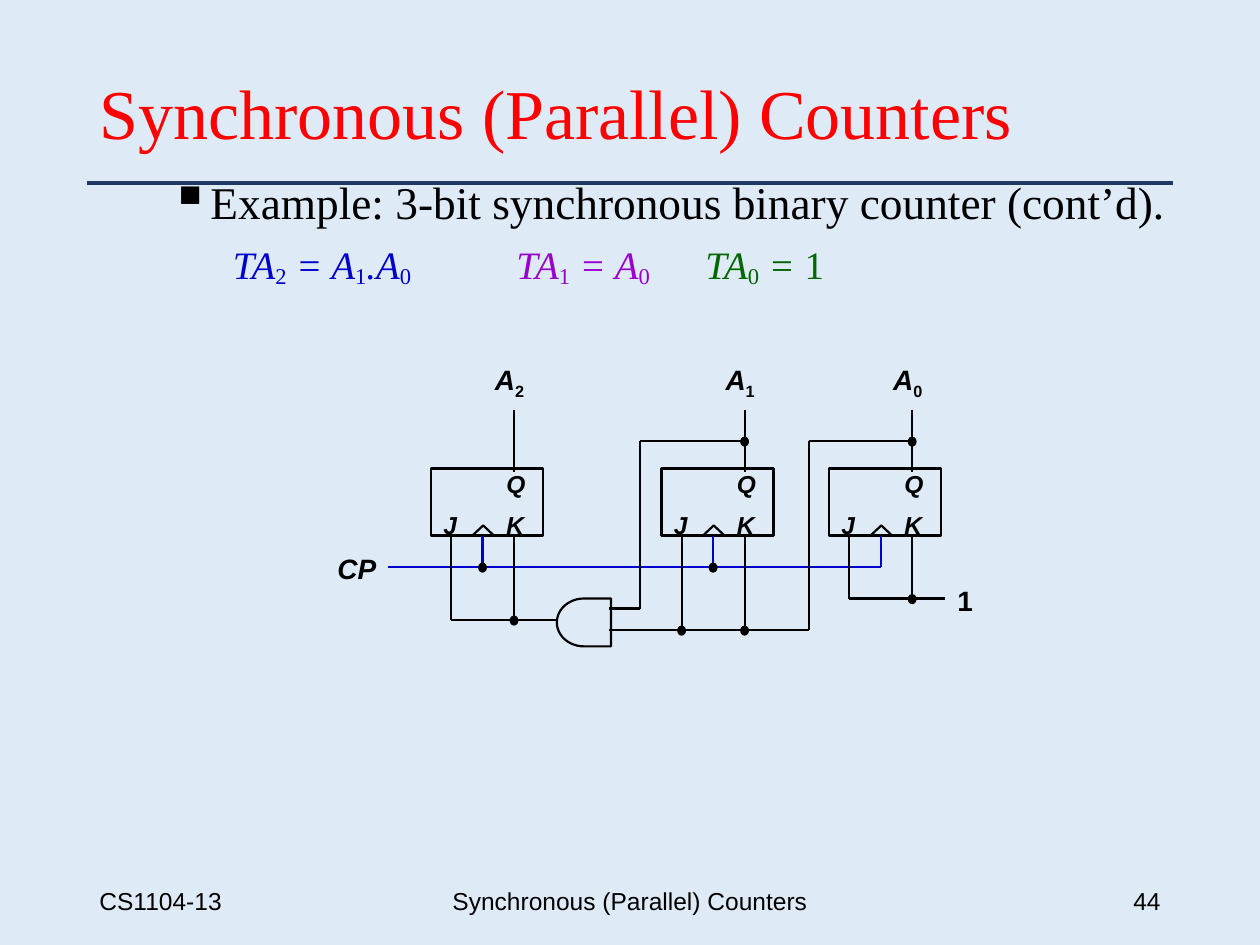
from dataclasses import dataclass
from lxml import etree
from pptx import Presentation
from pptx.dml.color import RGBColor
from pptx.enum.shapes import MSO_CONNECTOR, MSO_SHAPE
from pptx.enum.text import MSO_ANCHOR, MSO_AUTO_SIZE, PP_ALIGN
from pptx.oxml.ns import qn
from pptx.util import Inches, Pt


@dataclass(frozen=True)
class Theme:
    background: str = "DEEBF7"
    rule: str = "203864"
    title: str = "FF0000"
    ink: str = "000000"
    clock: str = "0000CC"
    ta2: str = "0000CC"
    ta1: str = "9900CC"
    ta0: str = "006600"
    serif: str = "Times New Roman"
    sans: str = "Arial"
    title_size: float = 40
    body_size: float = 25.9
    equation_size: float = 22.2
    label_size: float = 16
    pin_size: float = 14
    footer_size: float = 14
    wire: float = 1.25


@dataclass(frozen=True)
class Box:
    left: float
    top: float
    width: float
    height: float

    def inner(self, x, y, width, height):
        return Box(self.left + x, self.top + y, width, height)

    def inches(self):
        return [Inches(v) for v in (self.left, self.top, self.width, self.height)]


THEME = Theme()


def color(value):
    return RGBColor.from_string(value)


def style_run(run, size, name, ink, bold=False, italic=False, baseline=0):
    font = run.font
    font.size, font.name = Pt(size), name
    font.bold, font.italic = bold, italic
    font.color.rgb = color(ink)
    if baseline:
        run._r.get_or_add_rPr().set("baseline", str(baseline * 1000))


def add_text(slide, box, text, size, name, ink, align=PP_ALIGN.LEFT):
    frame = slide.shapes.add_textbox(*box.inches()).text_frame
    frame.word_wrap = True
    frame.vertical_anchor = MSO_ANCHOR.MIDDLE
    frame.text = text
    paragraph = frame.paragraphs[0]
    paragraph.alignment = align
    style_run(paragraph.runs[0], size, name, ink)
    return paragraph


def add_label(slide, box, text, size, subscript="", italic=True):
    frame = slide.shapes.add_textbox(*box.inches()).text_frame
    frame.word_wrap = False
    frame.auto_size = MSO_AUTO_SIZE.SHAPE_TO_FIT_TEXT
    frame.text = text
    paragraph = frame.paragraphs[0]
    style_run(paragraph.runs[0], size, THEME.sans, THEME.ink, True, italic)
    if subscript:
        run = paragraph.add_run()
        run.text = subscript
        style_run(run, size, THEME.sans, THEME.ink, True, False, -25)


def add_wire(slide, box, points, ink=THEME.ink, width=THEME.wire):
    """Draw straight segments through points given relative to the box."""
    for (x1, y1), (x2, y2) in zip(points, points[1:]):
        wire = slide.shapes.add_connector(
            MSO_CONNECTOR.STRAIGHT,
            Inches(box.left + x1), Inches(box.top + y1),
            Inches(box.left + x2), Inches(box.top + y2))
        wire.line.color.rgb = color(ink)
        wire.line.width = Pt(width)
        etree.SubElement(wire._element.spPr, qn("a:effectLst"))


def add_outline(slide, kind, box, width=THEME.wire, filled=False):
    shape = slide.shapes.add_shape(kind, *box.inches())
    shape.shadow.inherit = False
    if filled:
        shape.fill.solid()
        shape.fill.fore_color.rgb = color(THEME.ink)
    else:
        shape.fill.background()
    shape.line.color.rgb = color(THEME.ink)
    shape.line.width = Pt(width)
    return shape


def add_header(slide, box):
    paragraph = add_text(slide, box, "Synchronous (Parallel) Counters",
                         THEME.title_size, THEME.serif, THEME.title)
    paragraph.line_spacing = 0.9
    add_wire(slide, box, [(0, box.height), (box.width, box.height)], THEME.rule, 2.25)


def add_body(slide, box):
    frame = slide.shapes.add_textbox(*box.inches()).text_frame
    frame.word_wrap = True
    frame.text = "Example: 3-bit synchronous binary counter (cont’d)."
    example = frame.paragraphs[0]
    equations = frame.add_paragraph()
    for paragraph, margin in ((example, 0.25), (equations, 0.75)):
        paragraph.line_spacing = 0.8
        properties = paragraph._p.get_or_add_pPr()
        properties.set("marL", str(Inches(margin)))
        properties.set("indent", str(Inches(-0.25)))
    bullet = example._p.get_or_add_pPr()
    etree.SubElement(bullet, qn("a:buSzPct"), val="120000")
    etree.SubElement(bullet, qn("a:buChar"), char="▪")
    style_run(example.runs[0], THEME.body_size, THEME.serif, THEME.ink)

    # Toggle equations: (text, kind), with kind v = variable, s = subscript, n = number
    equations.space_before = Pt(11)
    for ink, parts in (
        (THEME.ta2, [("TA", "v"), ("2", "s"), (" = A", "v"), ("1", "s"),
                     (".A", "v"), ("0\t\t", "s")]),
        (THEME.ta1, [("TA", "v"), ("1", "s"), (" = A", "v"), ("0\t", "s")]),
        (THEME.ta0, [("TA", "v"), ("0", "s"), (" = ", "v"), ("1", "n")]),
    ):
        for text, kind in parts:
            run = equations.add_run()
            run.text = text
            style_run(run, THEME.equation_size, THEME.serif, ink,
                      italic=kind == "v", baseline=-14 if kind == "s" else 0)


def add_flip_flop(slide, box, index):
    """Block with pins J, clock and K below, and output Q above."""
    add_outline(slide, MSO_SHAPE.RECTANGLE, box, 1.5)
    add_outline(slide, MSO_SHAPE.ISOSCELES_TRIANGLE, box.inner(0.33, 0.45, 0.17, 0.08))
    for pin, x, y in (("J", 0, 0.28), ("K", 0.5, 0.28), ("Q", 0.5, -0.05)):
        add_label(slide, box.inner(x, y, 0.34, 0.33), pin, THEME.pin_size)
    add_label(slide, box.inner(0.41, -0.89, 0.45, 0.37), "A", THEME.label_size, index)
    add_wire(slide, box, [(0.66, -0.47), (0.66, 0.03)])


def add_circuit(slide, box):
    # Columns of the flip-flops and levels of the wires
    columns = {"2": 0.92, "1": 2.75, "0": 4.08}
    block_top, block_bottom = 0.97, 1.5
    feedback, clock, tie, gate_out, gate_in = 0.75, 1.75, 2, 2.17, 2.25
    j2, j1, j0 = (x + 0.16 for x in columns.values())
    c2, c1, c0 = (x + 0.41 for x in columns.values())
    k2, k1, k0 = (x + 0.66 for x in columns.values())
    for index, x in columns.items():
        add_flip_flop(slide, box.inner(x, block_top, 0.89, block_bottom - block_top), index)

    # Clock line
    add_label(slide, box.inner(0.08, 1.58, 0.51, 0.37), "CP", THEME.label_size)
    add_wire(slide, box, [(0.58, clock), (c0, clock)], THEME.clock)
    for x in (c2, c1, c0):
        add_wire(slide, box, [(x, block_bottom), (x, clock)], THEME.clock)

    # AND gate feeding the third flip-flop
    gate = add_outline(slide, MSO_SHAPE.FLOWCHART_DELAY, box.inner(1.92, 2, 0.43, 0.38))
    gate._element.spPr.find(qn("a:xfrm")).set("flipH", "1")
    for points in (
        [(j2, block_bottom), (j2, gate_out), (1.92, gate_out)],
        [(k2, block_bottom), (k2, gate_out)],
        [(k1, feedback), (2.58, feedback), (2.58, 2.08), (2.33, 2.08)],
        [(k0, feedback), (3.92, feedback), (3.92, gate_in), (2.33, gate_in)],
        [(j1, block_bottom), (j1, gate_in)],
        [(k1, block_bottom), (k1, gate_in)],
        [(j0, block_bottom), (j0, tie), (5, tie)],
        [(k0, block_bottom), (k0, tie)],
    ):
        add_wire(slide, box, points)
    add_label(slide, box.inner(5, 1.83, 0.32, 0.37), "1", THEME.label_size, italic=False)

    # Junction dots
    for x, y in ((k1, feedback), (k0, feedback), (c2, clock), (c1, clock),
                 (k2, gate_out), (j1, gate_in), (k1, gate_in), (k0, tie)):
        add_outline(slide, MSO_SHAPE.OVAL, box.inner(x - 0.03, y - 0.03, 0.06, 0.07),
                    0.75, filled=True)


def add_footer(slide, box):
    for x, width, text, align in (
        (0, 2.25, "CS1104-13", PP_ALIGN.LEFT),
        (2.62, 3.38, "Synchronous (Parallel) Counters", PP_ALIGN.CENTER),
        (6.37, 2.25, "44", PP_ALIGN.RIGHT),
    ):
        add_text(slide, box.inner(x, 0, width, box.height), text,
                 THEME.footer_size, THEME.sans, THEME.ink, align)


def main():
    presentation = Presentation()
    presentation.slide_width, presentation.slide_height = Inches(10), Inches(7.5)
    slide = presentation.slides.add_slide(presentation.slide_layouts[6])
    slide.background.fill.solid()
    slide.background.fill.fore_color.rgb = color(THEME.background)
    add_header(slide, Box(0.69, 0.4, 8.62, 1.05))
    add_body(slide, Box(1.25, 1.42, 8.33, 0.92))
    add_circuit(slide, Box(2.5, 2.75, 5.32, 2.38))
    add_footer(slide, Box(0.69, 6.95, 8.62, 0.4))
    presentation.save("out.pptx")


if __name__ == "__main__":
    main()
